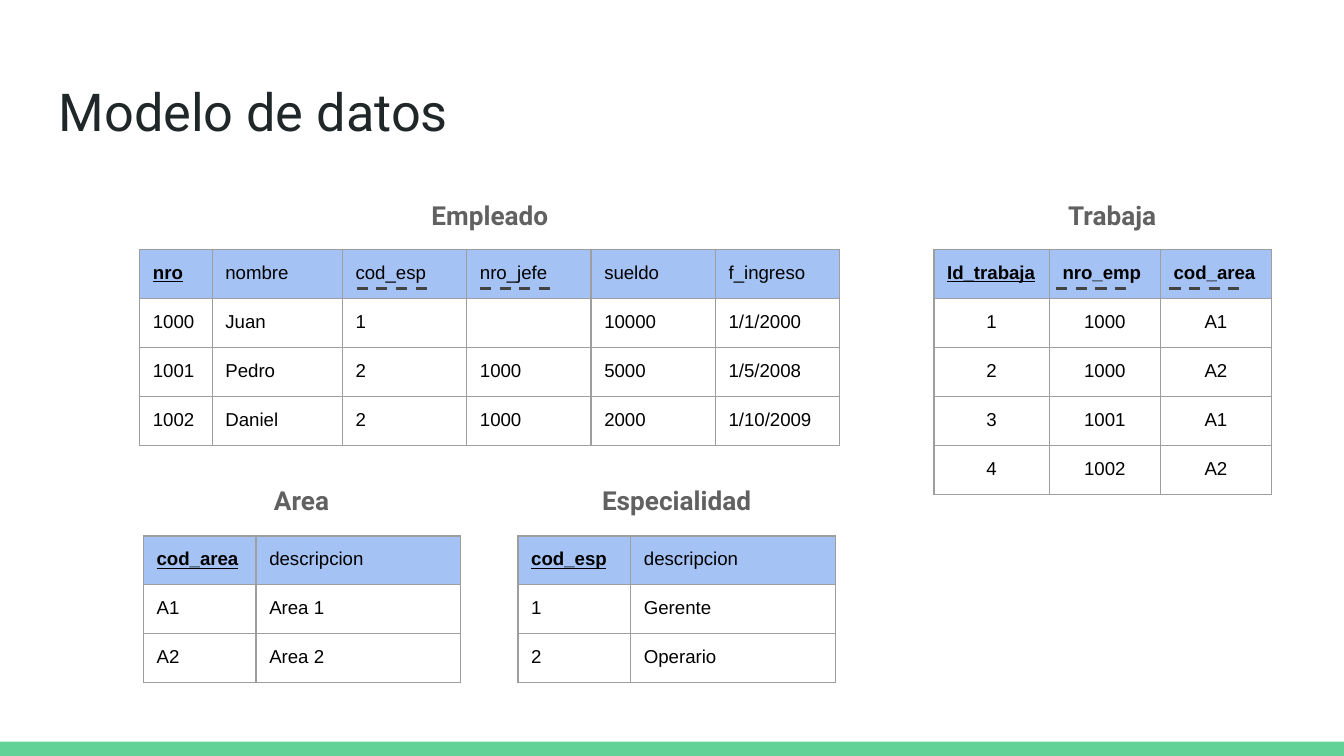
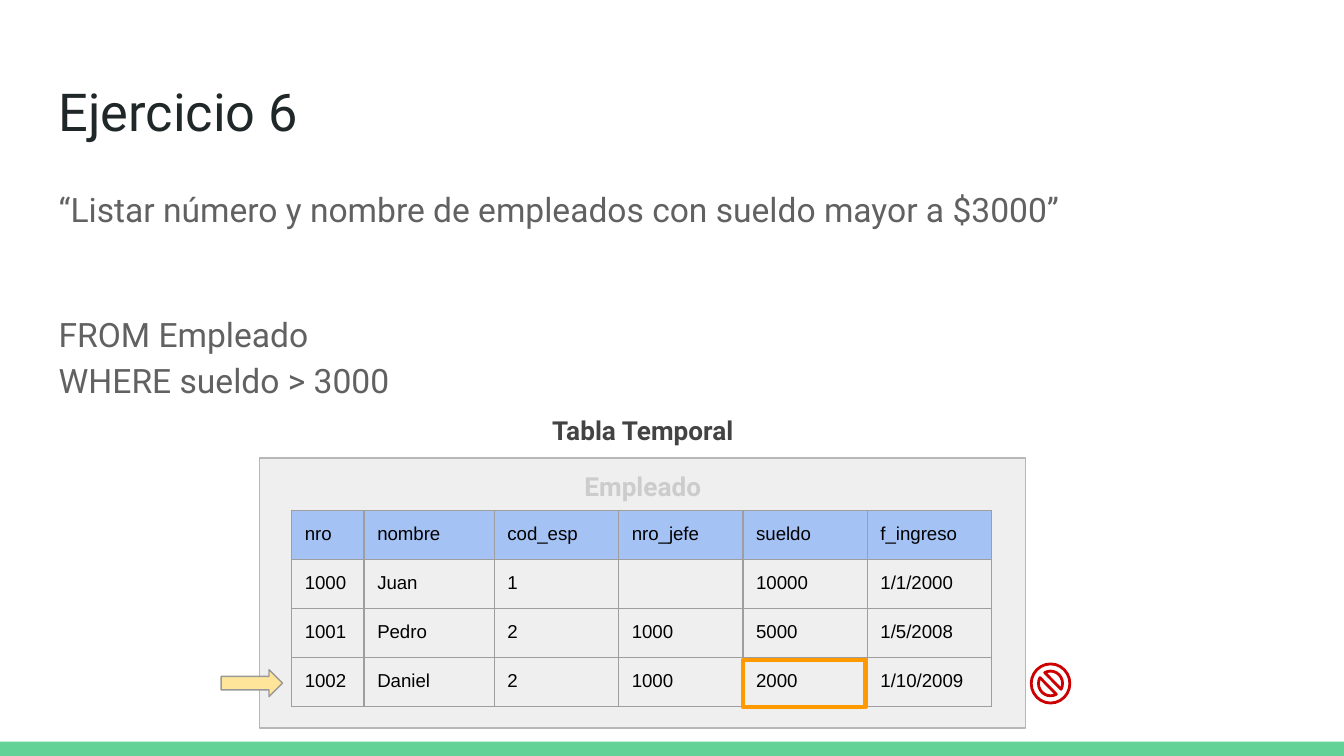
import lxml.etree
import pptx
import pptx.dml.color
import pptx.enum.dml
import pptx.enum.shapes
import pptx.enum.text
import pptx.oxml.ns
import pptx.util

Cm = pptx.util.Cm
Pt = pptx.util.Pt
RGB = pptx.dml.color.RGBColor.from_string
SHAPES = pptx.enum.shapes.MSO_SHAPE
CENTER = pptx.enum.text.PP_ALIGN.CENTER
qn = pptx.oxml.ns.qn

COLORS = {
    "band": "63D297", "title": "202729", "body": "616161", "dark": "434343",
    "faded": "CCCCCC", "header": "A4C2F4", "grid": "9E9E9E", "black": "000000",
    "panel": "EFEFEF", "panel_line": "B7B7B7", "arrow": "FFE599",
    "arrow_line": "999999", "highlight": "FF9900", "forbidden": "CC0000",
}
INSET = Cm(0.25)
ROW_HEIGHT = 0.9
EMPLOYEE_COLUMNS = [1.37, 2.46] + [2.35] * 4
EMPLOYEE_ROWS = [
    ["nro", "nombre", "cod_esp", "nro_jefe", "sueldo", "f_ingreso"],
    ["1000", "Juan", "1", "", "10000", "1/1/2000"],
    ["1001", "Pedro", "2", "1000", "5000", "1/5/2008"],
    ["1002", "Daniel", "2", "1000", "2000", "1/10/2009"],
]
WORK_ROWS = [
    ["Id_trabaja", "nro_emp", "cod_area"],
    ["1", "1000", "A1"],
    ["2", "1000", "A2"],
    ["3", "1001", "A1"],
    ["4", "1002", "A2"],
]
AREA_ROWS = [["cod_area", "descripcion"], ["A1", "Area 1"], ["A2", "Area 2"]]
SPECIALTY_ROWS = [["cod_esp", "descripcion"], ["1", "Gerente"], ["2", "Operario"]]


def add_text(slide, text, left, top, width, height, size, color, caption=False):
    """Add a Roboto text box; a caption is bold and centred."""
    box = slide.shapes.add_textbox(Cm(left), Cm(top), Cm(width), Cm(height))
    frame = box.text_frame
    frame.word_wrap = True
    frame.margin_left = frame.margin_right = INSET
    frame.margin_top = frame.margin_bottom = INSET
    paragraph = frame.paragraphs[0]
    paragraph.text = text
    paragraph.font.name = "Roboto"
    paragraph.font.size = Pt(size)
    paragraph.font.bold = caption
    paragraph.font.color.rgb = RGB(COLORS[color])
    if caption:
        paragraph.alignment = CENTER
    return paragraph


def add_data_table(slide, rows, left, top, widths, key=True, bold_header=False, centered=False):
    """Add a gridded table; key underlines the first heading, centered affects the body."""
    table = slide.shapes.add_table(len(rows), len(widths), Cm(left), Cm(top),
                                   Cm(sum(widths)), Cm(ROW_HEIGHT * len(rows))).table
    table.first_row = table.horz_banding = False
    for column, width in zip(table.columns, widths):
        column.width = Cm(width)
    for row_index, row in enumerate(rows):
        table.rows[row_index].height = Cm(ROW_HEIGHT)
        for column_index, text in enumerate(row):
            cell = table.cell(row_index, column_index)
            cell.margin_left = cell.margin_right = INSET
            cell.margin_top = cell.margin_bottom = INSET
            properties = cell._tc.get_or_add_tcPr()
            for side in ("a:lnL", "a:lnR", "a:lnT", "a:lnB"):
                border = lxml.etree.SubElement(properties, qn(side), w=str(Pt(0.75)))
                fill = lxml.etree.SubElement(border, qn("a:solidFill"))
                lxml.etree.SubElement(fill, qn("a:srgbClr"), val=COLORS["grid"])
            is_header = row_index == 0
            is_key = is_header and key and column_index == 0
            if is_header:
                cell.fill.solid()
                cell.fill.fore_color.rgb = RGB(COLORS["header"])
            else:
                cell.fill.background()
            paragraph = cell.text_frame.paragraphs[0]
            paragraph.text = text
            paragraph.font.name = "Arial"
            paragraph.font.size = Pt(10)
            paragraph.font.color.rgb = RGB(COLORS["black"])
            paragraph.font.bold = is_key or (is_header and bold_header)
            paragraph.font.underline = is_key
            if centered and not is_header:
                paragraph.alignment = CENTER


presentation = pptx.Presentation()
presentation.slide_width = Cm(25.4)
presentation.slide_height = Cm(14.29)

# Shared title and bottom band
slides = []
for title in ("Modelo de datos", "Ejercicio 6"):
    slide = presentation.slides.add_slide(presentation.slide_layouts[6])
    band = slide.shapes.add_shape(SHAPES.RECTANGLE, 0, Cm(14.02), Cm(25.4), Cm(0.27))
    band.shadow.inherit = False
    band.fill.solid()
    band.fill.fore_color.rgb = RGB(COLORS["band"])
    band.line.fill.background()
    add_text(slide, title, 0.86, 1.24, 23.67, 1.6, 28, "title")
    slides.append(slide)
model_slide, exercise_slide = slides

# Data model: four tables with captions
add_data_table(model_slide, EMPLOYEE_ROWS, 2.64, 4.72, EMPLOYEE_COLUMNS)
add_data_table(model_slide, WORK_ROWS, 17.65, 4.72, [2.18, 2.1, 2.1],
               bold_header=True, centered=True)
add_data_table(model_slide, AREA_ROWS, 2.71, 10.13, [2.13, 3.87])
add_data_table(model_slide, SPECIALTY_ROWS, 9.79, 10.13, [2.13, 3.87])
captions = [("Empleado", 6.76, 3.43), ("Trabaja", 18.52, 3.43),
            ("Area", 3.2, 8.81), ("Especialidad", 10.29, 8.81)]
for text, left, top in captions:
    add_text(model_slide, text, left, top, 5, 1.07, 14, "body", caption=True).line_spacing = 1.15

# Dashed underlines mark the foreign keys
for left in (6.74, 9.07, 19.96, 22.1):
    underline = model_slide.shapes.add_connector(
        pptx.enum.shapes.MSO_CONNECTOR.STRAIGHT, Cm(left), Cm(5.46), Cm(left + 1.4), Cm(5.46))
    underline.line.color.rgb = RGB(COLORS["dark"])
    underline.line.width = Pt(1.5)
    underline.line.dash_style = pptx.enum.dml.MSO_LINE.DASH
    lxml.etree.SubElement(underline._element.spPr, qn("a:effectLst"))

# Exercise: statement, query, temporary table and its marks
for text, top, height in [
    ("“Listar número y nombre de empleados con sueldo mayor a $3000”", 3.2, 1.4),
    ("FROM Empleado\vWHERE sueldo > 3000", 5.57, 2.2),
]:
    add_text(exercise_slide, text, 0.86, top, 23.67, height, 18, "body").line_spacing = 1.15

marks = [
    (SHAPES.RECTANGLE, 4.9, 8.66, 14.48, 5.1, "panel", "panel_line", 0.75),
    (SHAPES.RIGHT_ARROW, 4.18, 12.66, 1.16, 0.51, "arrow", "arrow_line", 0.75),
    (SHAPES.RECTANGLE, 14.05, 12.47, 2.31, 0.9, None, "highlight", 2.25),
    (SHAPES.NO_SYMBOL, 19.49, 12.55, 0.73, 0.74, None, "forbidden", 1.5),
]
for kind, left, top, width, height, fill, line, weight in marks:
    mark = exercise_slide.shapes.add_shape(kind, Cm(left), Cm(top), Cm(width), Cm(height))
    mark.shadow.inherit = False
    if fill:
        mark.fill.solid()
        mark.fill.fore_color.rgb = RGB(COLORS[fill])
    else:
        mark.fill.background()
    mark.line.color.rgb = RGB(COLORS[line])
    mark.line.width = Pt(weight)
    if line == "panel_line":
        add_data_table(exercise_slide, EMPLOYEE_ROWS, 5.51, 9.65, EMPLOYEE_COLUMNS, key=False)

for text, top, color in [("Tabla Temporal", 7.49, "dark"), ("Empleado", 8.56, "faded")]:
    add_text(exercise_slide, text, 9.65, top, 5, 1.07, 14, color, caption=True).line_spacing = 1.15

presentation.save("out.pptx")
